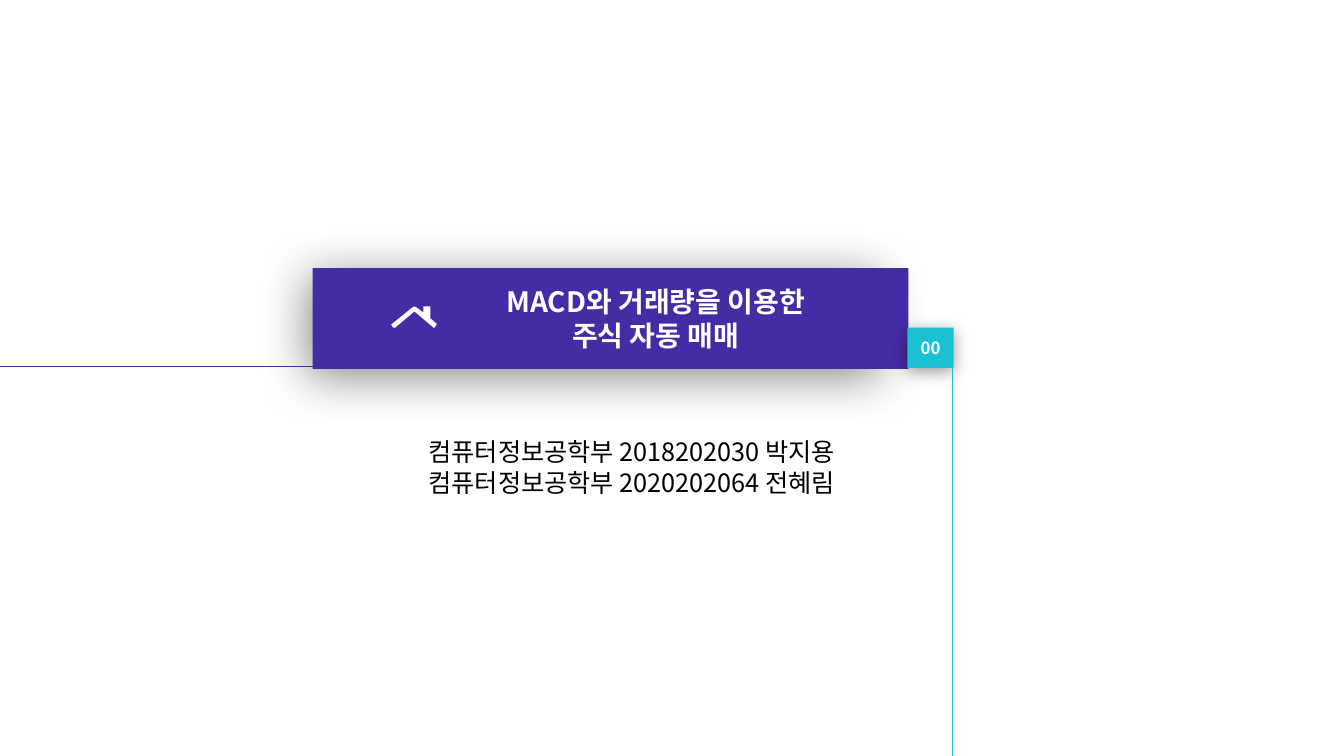
from lxml import etree
from pptx import Presentation
from pptx.dml.color import RGBColor
from pptx.enum.shapes import MSO_CONNECTOR, MSO_SHAPE
from pptx.enum.text import MSO_ANCHOR, MSO_AUTO_SIZE, PP_ALIGN
from pptx.oxml import parse_xml
from pptx.oxml.ns import qn
from pptx.util import Inches, Pt

LINE, RECT = MSO_CONNECTOR.STRAIGHT, MSO_SHAPE.RECTANGLE
MIDDLE, TOP = MSO_ANCHOR.MIDDLE, MSO_ANCHOR.TOP
CENTER, LEFT = PP_ALIGN.CENTER, PP_ALIGN.LEFT
FIXED = MSO_AUTO_SIZE.NONE

FONT = "Noto Sans CJK KR"
COLORS = {"band": "442CA4", "badge": "18C1D4", "white": "FFFFFF", "black": "000000"}
NS = "http://schemas.openxmlformats.org/drawingml/2006/main"

ROOF = [(3.88, 3.22), (4.09, 3.05), (4.11, 3.04), (4.13, 3.05), (4.2, 3.1),
        (4.2, 3.04), (4.27, 3.04), (4.27, 3.16), (4.33, 3.21), (4.33, 3.22),
        (4.31, 3.25), (4.3, 3.25), (4.11, 3.09), (3.92, 3.25), (3.9, 3.25)]


class Cover:
    def __init__(self, deck):
        self.slide = deck.slides.add_slide(deck.slide_layouts[0])
        self.shapes = self.slide.shapes

    def color(self, name):
        return RGBColor.from_string(COLORS[name])

    def paint(self, shape, name):
        shape.fill.solid()
        shape.fill.fore_color.rgb = self.color(name)
        shape.line.fill.background()

    def place(self, shape, box):
        shape.left, shape.top, shape.width, shape.height = map(Inches, box)

    def shade(self, shape, alpha, blur, dist, angle, scale=100):
        """Add an outer shadow: points, degrees, and percent for alpha and width."""
        props = shape.element.spPr
        for old in props.findall(qn("a:effectLst")):
            props.remove(old)
        props.append(parse_xml(
            f'<a:effectLst xmlns:a="{NS}"><a:outerShdw blurRad="{Pt(blur)}" '
            f'dist="{Pt(dist)}" dir="{angle * 60000}" sx="{scale * 1000}" '
            f'algn="l" rotWithShape="0"><a:srgbClr val="{COLORS["black"]}">'
            f'<a:alpha val="{alpha * 1000}"/></a:srgbClr></a:outerShdw></a:effectLst>'))

    def label(self, shape, lines, size, color, bold=False, align=CENTER,
              anchor=MIDDLE, wrap=True, pitch=None, indent=0):
        """Fill a shape with one paragraph per line; pitch is the line height in points."""
        frame = shape.text_frame
        frame.text = "\n".join(lines)
        frame.auto_size = FIXED
        frame.word_wrap = wrap
        frame.vertical_anchor = anchor
        for para in frame.paragraphs:
            para.alignment = align
            para.space_before = para.space_after = Pt(0)
            para.line_spacing = Pt(pitch) if pitch else 1.0
            para.font.size = Pt(size)
            para.font.bold = bold
            para.font.name = FONT
            para.font.color.rgb = self.color(color)
            props = para._p.get_or_add_pPr()
            props.set("marL", str(Inches(indent)))
            props.set("indent", "0")
            for run in para.runs:
                east = etree.SubElement(run._r.get_or_add_rPr(), qn("a:ea"))
                east.set("typeface", FONT)

    def title(self, lines, box):
        band = self.shapes.title
        self.place(band, box)
        self.paint(band, "band")
        self.shade(band, 45, 35, 8, 45, 96)
        self.label(band, lines, 20, "white", bold=True, pitch=24.3, indent=0.9)

    def authors(self, lines, box):
        body = self.slide.placeholders[1]
        self.place(body, box)
        self.label(body, lines, 18, "black", align=LEFT, anchor=TOP, pitch=22)

    def badge(self, text, box):
        tag = self.shapes.add_shape(RECT, *map(Inches, box))
        self.paint(tag, "badge")
        self.shade(tag, 40, 12, 3, 90)
        self.label(tag, [text], 12, "white", bold=True, wrap=False)

    def icon(self, points):
        start, *rest = [(Inches(x), Inches(y)) for x, y in points]
        pen = self.shapes.build_freeform(*start)
        pen.add_line_segments(rest)
        roof = pen.convert_to_shape()
        roof.shadow.inherit = False
        self.paint(roof, "white")

    def rule(self, ends, color):
        line = self.shapes.add_connector(LINE, *map(Inches, ends))
        line.line.color.rgb = self.color(color)
        line.line.width = Pt(0.5)
        etree.SubElement(line.element.spPr, qn("a:effectLst"))


def main():
    deck = Presentation()
    deck.slide_width, deck.slide_height = Inches(13.33), Inches(7.5)
    cover = Cover(deck)
    cover.title(["MACD와 거래량을 이용한", "주식 자동 매매"], (3.1, 2.66, 5.91, 1))
    cover.authors(["컴퓨터정보공학부 2018202030 박지용",
                   "컴퓨터정보공학부 2020202064 전혜림"], (4.15, 4.27, 4.76, 0.71))
    cover.badge("00", (9, 3.25, 0.46, 0.4))
    cover.icon(ROOF)
    cover.rule((9.45, 3.35, 9.45, 7.5), "badge")
    cover.rule((0, 3.63, 5.91, 3.63), "band")
    deck.save("out.pptx")


if __name__ == "__main__":
    main()
